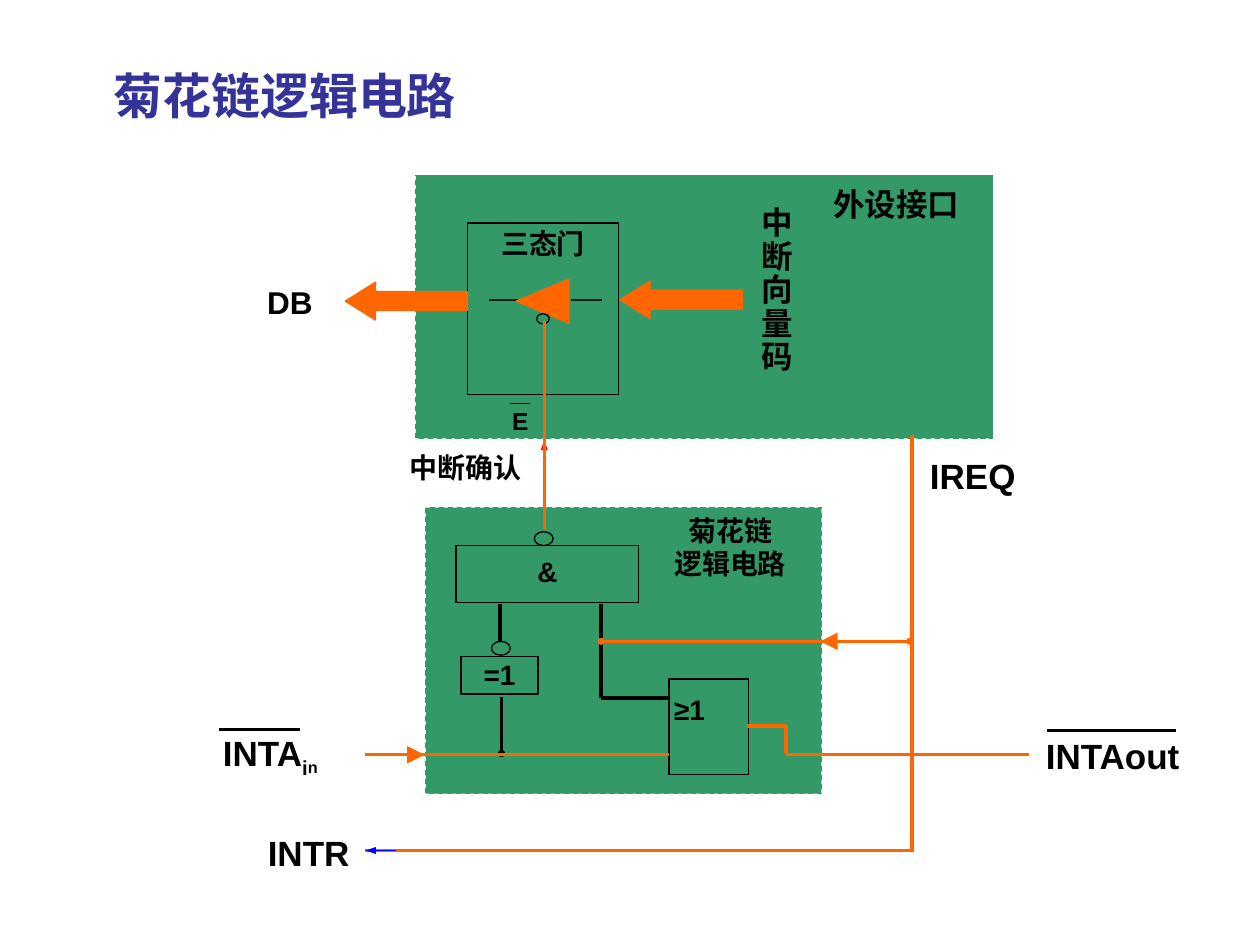
import pptx
import pptx.util
import pptx.dml.color
import pptx.enum.dml
import pptx.enum.shapes
import pptx.enum.text
import lxml.etree

Inches = pptx.util.Inches
Pt = pptx.util.Pt
Shape = pptx.enum.shapes.MSO_SHAPE
Align = pptx.enum.text.PP_ALIGN
Anchor = pptx.enum.text.MSO_ANCHOR

GREEN, ORANGE, BLACK = "339966", "FF6600", "000000"


def paint(color, code):
    """Set a colour format or a fill's fore colour from a hex string."""
    color.rgb = pptx.dml.color.RGBColor.from_string(code)


def place(box, part):
    """Turn a part relative to its box into absolute lengths."""
    left, top, wide, high = part
    return Inches(box[0] + left), Inches(box[1] + top), Inches(wide), Inches(high)


def write(shape, lines, size, face="Arial", align=Align.CENTER, pad=(0, 0),
          gap=None, anchor=Anchor.TOP, color=BLACK):
    """Fill a shape with lines, each a list of (text, size, baseline) runs or a string."""
    frame = shape.text_frame
    frame.word_wrap = True
    frame.auto_size = pptx.enum.text.MSO_AUTO_SIZE.NONE
    frame.vertical_anchor = anchor
    frame.margin_left, frame.margin_top = map(Inches, pad)
    frame.margin_right = frame.margin_bottom = 0
    for index, line in enumerate(lines):
        para = frame.add_paragraph() if index else frame.paragraphs[0]
        para.alignment = align
        para.space_before = Pt(0.2 * size if index else 0)
        if gap:
            para.line_spacing = gap
        for text, points, base in [(line, size, 0)] if isinstance(line, str) else line:
            run = para.add_run()
            run.text = text
            run.font.size = Pt(points)
            run.font.name = face
            run.font.bold = True
            paint(run.font.color, color)
            if base:
                run._r.get_or_add_rPr().set("baseline", str(base))


def label(slide, box, part, lines, size, **style):
    """Add a text box inside a region."""
    write(slide.shapes.add_textbox(*place(box, part)), lines, size, **style)


def block(slide, box, part, kind=Shape.RECTANGLE, fill=None, line=BLACK, dash=False):
    """Add a preset shape inside a region and return it."""
    shape = slide.shapes.add_shape(kind, *place(box, part))
    shape.shadow.inherit = False
    if fill:
        shape.fill.solid()
        paint(shape.fill.fore_color, fill)
    else:
        shape.fill.background()
    paint(shape.line.color, line)
    shape.line.width = Pt(0.75)
    if dash:
        shape.line.dash_style = pptx.enum.dml.MSO_LINE.DASH
    return shape


def wire(slide, box, start, end, color=ORANGE, width=2, head=None, tail=None):
    """Add a straight line; head and tail are (type, width, length)."""
    ends = [Inches(base + shift) for point in (start, end)
            for base, shift in zip(box, point)]
    line = slide.shapes.add_connector(pptx.enum.shapes.MSO_CONNECTOR.STRAIGHT, *ends)
    paint(line.line.color, color)
    line.line.width = Pt(width)
    space = pptx.oxml.ns.nsdecls("a").split('"')[1]
    stroke = line.line._get_or_add_ln()
    for name, mark in (("headEnd", head), ("tailEnd", tail)):
        if mark:
            lxml.etree.SubElement(stroke, f"{{{space}}}{name}",
                                  dict(zip(("type", "w", "len"), mark)))
    lxml.etree.SubElement(line._element.spPr, f"{{{space}}}effectLst")


def title(slide, box):
    """Place and format the slide title."""
    shape = slide.shapes.title
    shape.left, shape.top, shape.width, shape.height = map(Inches, box)
    write(shape, ["菊花链逻辑电路"], 28, align=Align.LEFT,
          anchor=Anchor.MIDDLE, color="333399")


def port(slide, box):
    """Draw the device interface with its three-state gate."""
    serif = "Times New Roman"
    block(slide, box, (0, 0, *box[2:]), fill=GREEN, line=GREEN, dash=True)
    block(slide, box, (0.41, 0.38, 1.2, 1.36))
    for left in (0.58, 1.23):
        wire(slide, box, (left, 0.99), (left + 0.25, 0.99), "1C1C1C", 1.5)
    gate = block(slide, box, (0.83, 0.79, 0.35, 0.42), Shape.FLOWCHART_MERGE,
                 ORANGE, ORANGE)
    gate.rotation = 90
    block(slide, box, (0.96, 1.1, 0.1, 0.08), Shape.FLOWCHART_CONNECTOR)
    for left, top in ((-0.56, 0.85), (1.62, 0.84)):
        arrow = block(slide, box, (left, top, 0.97, 0.3), Shape.LEFT_ARROW,
                      ORANGE, ORANGE)
        arrow.adjustments[0] = 0.5
        arrow.adjustments[1] = 0.8
    label(slide, box, (-1.37, 0.86, 0.72, 0.3), ["DB"], 18, pad=(0.02, 0))
    label(slide, box, (0.65, 0.41, 0.72, 0.31), ["三态门"], 16, face=serif)
    label(slide, box, (2.62, 0.3, 0.48, 1.07), list("中断向量码"), 18,
          face=serif, pad=(0.02, 0), gap=0.72)
    label(slide, box, (3.08, 0.08, 1.45, 0.3), ["外设接口"], 18,
          face=serif, pad=(0.02, 0))
    label(slide, box, (0.71, 1.83, 0.24, 0.22), ["E"], 14)
    wire(slide, box, (0.75, 1.81), (0.91, 1.81), BLACK, 0.75)


def chain(slide, box):
    """Draw the daisy chain logic with its three gates."""
    block(slide, box, (0, 0, *box[2:]), fill=GREEN, line=GREEN, dash=True)
    for part, text, top in (((0.24, 0.3, 1.45, 0.45), "&", 0.07),
                            ((0.28, 1.18, 0.61, 0.3), "=1", 0.01)):
        write(block(slide, box, part), [text], 16, pad=(0, top))
    write(block(slide, box, (1.93, 1.36, 0.63, 0.76)), ["≥1"], 16,
          align=Align.LEFT, pad=(0.04, 0.11))
    for left, top in ((0.86, 0.19), (0.52, 1.06)):
        block(slide, box, (left, top, 0.15, 0.11), Shape.FLOWCHART_CONNECTOR)
    for start, end in (((0.59, 0.76), (0.59, 1.06)), ((1.39, 0.76), (1.39, 1.51)),
                       ((1.39, 1.51), (1.93, 1.51))):
        wire(slide, box, start, end, BLACK)
    wire(slide, box, (0.6, 1.5), (0.6, 1.95), BLACK, tail=("oval", "sm", "sm"))
    label(slide, box, (1.85, 0.1, 1.11, 0.41), ["菊花链", "逻辑电路"], 16,
          face="Times New Roman", pad=(0.02, 0), gap=0.8)


def bus(slide, box):
    """Draw the signal lines that join the two units, with their names."""
    dot = ("oval", "sm", "sm")
    large, small = ("triangle", "lg", "lg"), ("triangle", "sm", "med")
    for start, end in (((5.5, 0), (5.5, 3.31)), ((5.5, 3.3), (1.16, 3.3)),
                       ((1.16, 2.54), (3.57, 2.54)), ((4.19, 2.31), (4.49, 2.31)),
                       ((4.5, 2.3), (4.5, 2.53)), ((4.5, 2.54), (6.43, 2.54))):
        wire(slide, box, start, end)
    wire(slide, box, (3.03, 1.64), (5.48, 1.64), head=dot, tail=dot)
    for start, end, color, mark in (
            ((1.39, 2.54), (1.63, 2.54), ORANGE, large),
            ((5.02, 1.64), (4.77, 1.64), ORANGE, large),
            ((1.4, 3.3), (1.16, 3.3), "0000FF", small),
            ((2.58, 0.19), (2.58, 0.04), "FF0000", small)):
        wire(slide, box, start, end, color, 0.75, tail=mark)
    wire(slide, box, (2.58, -0.9), (2.58, 0.76))
    for part, line in (
            ((0.03, 2.31, 0.97, 0.45), [("INTA", 20, 0), ("i", 20, -25000), ("n", 16, -25000)]),
            ((6.56, 2.33, 1.19, 0.45), "INTAout"),
            ((5.64, 0.11, 0.72, 0.3), "IREQ")):
        label(slide, box, part, [line], 20, align=Align.JUSTIFY, pad=(0, 0.05))
    label(slide, box, (0.37, 3.15, 0.68, 0.22), ["INTR"], 20)
    label(slide, box, (1.37, 0.13, 1.03, 0.33), ["中断确认"], 16,
          face="Times New Roman", align=Align.RIGHT)
    wire(slide, box, (0, 2.34), (0.64, 2.34), BLACK, 1.5)
    wire(slide, box, (6.57, 2.35), (7.59, 2.35), BLACK, 1.5)


def main():
    """Build the slide and save it."""
    deck = pptx.Presentation()
    deck.slide_width, deck.slide_height = Inches(10), Inches(7.5)
    slide = deck.slides.add_slide(deck.slide_layouts[5])
    title(slide, (0.9, 0.52, 3.07, 0.47))
    port(slide, (3.3, 1.39, 4.58, 2.09))
    chain(slide, (3.38, 4.03, 3.14, 2.27))
    bus(slide, (1.74, 3.45, 7.75, 3.37))
    deck.save("out.pptx")


if __name__ == "__main__":
    main()
